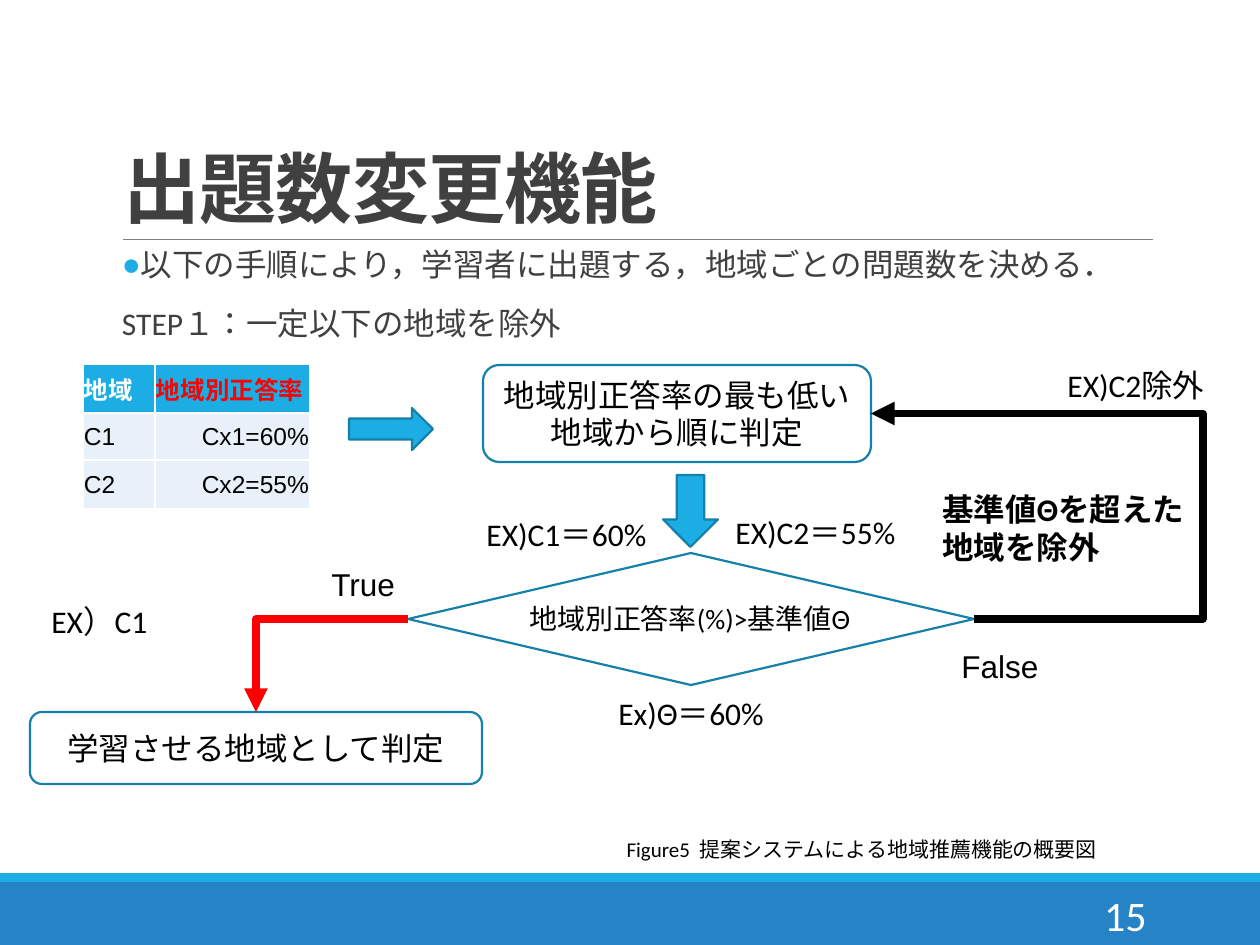
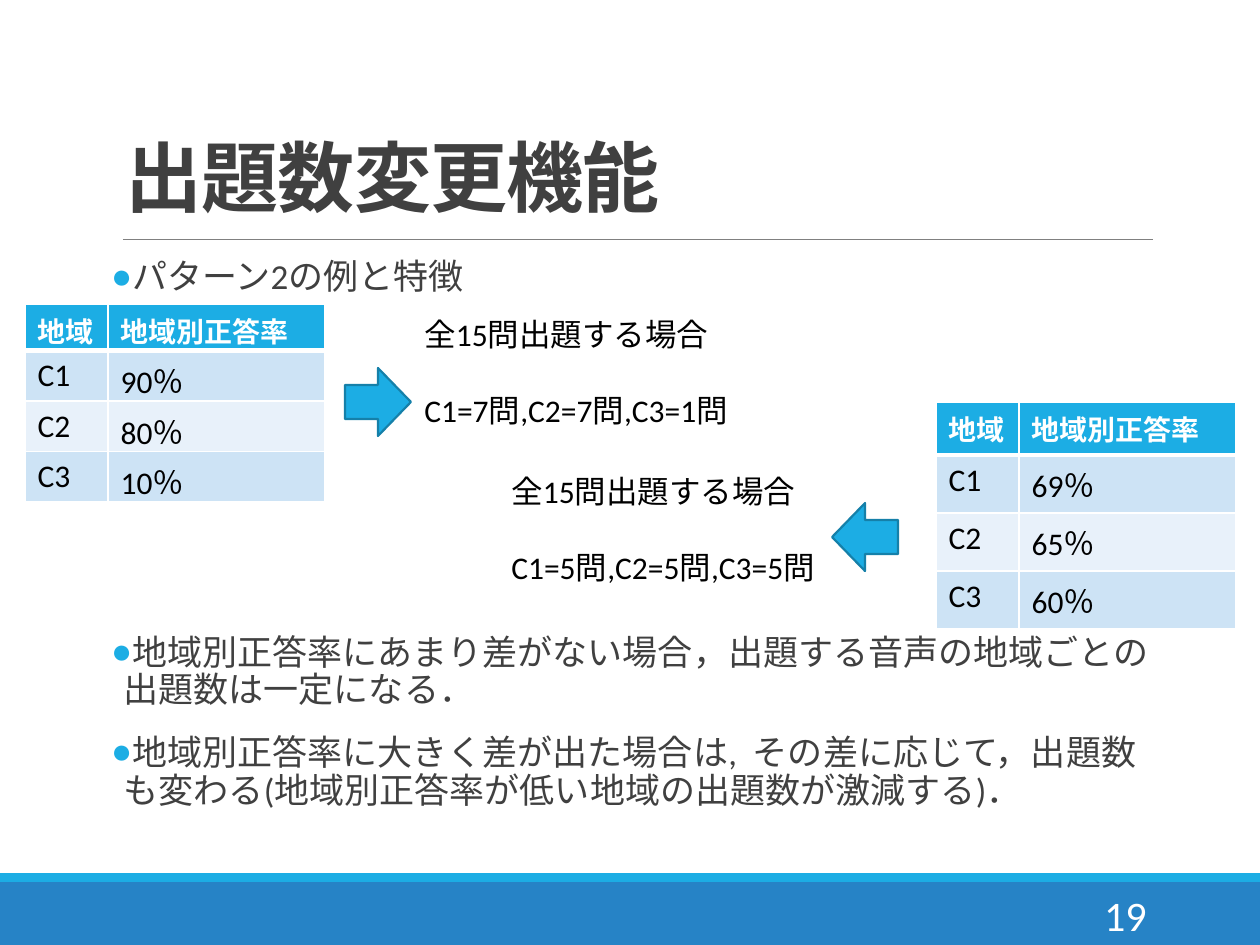
from dataclasses import dataclass

from lxml.etree import SubElement
from pptx import Presentation
from pptx.dml.color import RGBColor
from pptx.enum.lang import MSO_LANGUAGE_ID
from pptx.enum.shapes import MSO_CONNECTOR, MSO_SHAPE
from pptx.enum.text import MSO_ANCHOR, MSO_AUTO_SIZE, PP_ALIGN
from pptx.oxml.ns import qn
from pptx.util import Emu, Pt


@dataclass(frozen=True)
class Theme:
    font: str = "Calibri"
    plain_font: str = "Arial"
    accent: str = "1CADE4"
    outline: str = "1580A9"
    footer: str = "2683C6"
    rule: str = "808080"
    heading: str = "404040"
    black: str = "000000"
    white: str = "FFFFFF"
    red: str = "FF0000"
    pale: str = "E8F1FA"
    light: str = "CDE3F5"
    title_size: int = 44
    number_size: int = 24
    large_size: int = 20
    text_size: int = 18
    small_size: int = 16
    table_size: int = 14
    caption_size: int = 12


THEME = Theme()
PX_PER_INCH = 126
TITLE = "出題数変更機能"


def px(length):
    return Emu(round(length * 914400 / PX_PER_INCH))


def color(value):
    return RGBColor.from_string(value)


# Text
def write(frame, text, size=THEME.text_size, ink=THEME.black, font=THEME.font,
          bold=False, align=PP_ALIGN.LEFT, before=0, after=0, spacing=None,
          bullet=None, tracking=None):
    """Fill the first empty paragraph of a frame, or append one."""
    para = frame.add_paragraph() if frame.text else frame.paragraphs[0]
    if bullet is not None:
        set_bullet(para, bullet)
    para.alignment = align
    para.space_before, para.space_after = Pt(before), Pt(after)
    if spacing:
        para.line_spacing = spacing
    span = para.add_run()
    span.text = text
    span.font.name, span.font.size, span.font.bold = font, Pt(size), bold
    span.font.color.rgb = color(ink)
    span.font.language_id = MSO_LANGUAGE_ID.JAPANESE
    if tracking:
        span.font._element.set("spc", str(round(tracking * 100)))


def set_bullet(para, shown):
    properties = para._p.get_or_add_pPr()
    indent = 91440 if shown else 0
    properties.set("marL", str(indent))
    properties.set("indent", str(-indent))
    if shown:
        bullet_color = SubElement(properties, qn("a:buClr"))
        SubElement(bullet_color, qn("a:srgbClr"), val=THEME.accent)
        SubElement(properties, qn("a:buChar"), char="●")
    else:
        SubElement(properties, qn("a:buNone"))


def add_label(page, place, *lines, gap=0, anchor=MSO_ANCHOR.TOP, **style):
    frame = page.shapes.add_textbox(*map(px, place)).text_frame
    frame.word_wrap = True
    frame.vertical_anchor = anchor
    for index, line in enumerate(lines):
        write(frame, line, before=gap if index else 0, **style)


def place_placeholder(holder, place, anchor):
    holder.left, holder.top, holder.width, holder.height = map(px, place)
    frame = holder.text_frame
    frame.auto_size = MSO_AUTO_SIZE.NONE
    frame.word_wrap = True
    frame.vertical_anchor = anchor
    return frame


def add_body(page, place, items, size):
    """Items are (text, has bullet, space before)."""
    frame = place_placeholder(page.placeholders[1], place, MSO_ANCHOR.TOP)
    frame.margin_left = frame.margin_right = 0
    for text, bullet, before in items:
        write(frame, text, size=size, ink=THEME.heading, bullet=bullet,
              before=before, after=2, spacing=0.9)


# Shapes and lines
def add_figure(page, kind, place, fill=None, outline=THEME.outline, text=None):
    figure = page.shapes.add_shape(kind, *map(px, place))
    figure.shadow.inherit = False
    if fill:
        figure.fill.solid()
        figure.fill.fore_color.rgb = color(fill)
    else:
        figure.fill.background()
    if outline:
        figure.line.color.rgb = color(outline)
        figure.line.width = Pt(1.25)
    else:
        figure.line.fill.background()
    if text:
        figure.text_frame.word_wrap = True
        figure.text_frame.vertical_anchor = MSO_ANCHOR.MIDDLE
        write(figure.text_frame, text, align=PP_ALIGN.CENTER)
    return figure


def add_line(page, kind, ink, width, ends=(0, 0, 0, 0), arrow=False):
    line = page.shapes.add_connector(kind, *map(px, ends))
    line.line.color.rgb = color(ink)
    line.line.width = Pt(width)
    if arrow:
        SubElement(line.line._get_or_add_ln(), qn("a:tailEnd"), type="triangle")
    SubElement(line._element.spPr, qn("a:effectLst"))
    return line


def add_branch(page, source, source_side, target, target_side, ink, lane=None):
    """Elbow arrow: one corner, or two corners on a vertical lane."""
    branch = add_line(page, MSO_CONNECTOR.ELBOW, ink, 4.5, arrow=True)
    branch.begin_connect(source, source_side)
    branch.end_connect(target, target_side)
    geometry = branch._element.spPr.find(qn("a:prstGeom"))
    if lane is None:
        geometry.set("prst", "bentConnector2")
        return
    share = (px(lane) - branch.begin_x) / (branch.end_x - branch.begin_x)
    SubElement(geometry.find(qn("a:avLst")), qn("a:gd"), name="adj1",
               fmla=f"val {round(share * 100000)}")


# Tables
def set_borders(cell, top, bottom):
    properties = cell._tc.get_or_add_tcPr()
    for side, width in (("L", 1), ("R", 1), ("T", top), ("B", bottom)):
        border = SubElement(properties, qn(f"a:ln{side}"), w=str(Pt(width)))
        fill = SubElement(border, qn("a:solidFill"))
        SubElement(fill, qn("a:srgbClr"), val=THEME.white)


def add_rate_table(page, corner, widths, heights, rows, fills, header_styles,
                   body_styles, header_rule=1, insets=None, anchor=MSO_ANCHOR.TOP):
    """Header and body styles hold one text format per column."""
    size = (sum(widths), sum(heights))
    table = page.shapes.add_table(len(rows), len(widths),
                                  *map(px, corner + size)).table
    for column, width in zip(table.columns, widths):
        column.width = px(width)
    for r, values in enumerate(rows):
        table.rows[r].height = px(heights[r])
        for c, value in enumerate(values):
            cell = table.cell(r, c)
            set_borders(cell, header_rule if r == 1 else 1,
                        header_rule if r == 0 else 1)
            cell.fill.solid()
            cell.fill.fore_color.rgb = color(fills[r])
            cell.vertical_anchor = anchor
            if insets:
                (cell.margin_left, cell.margin_top,
                 cell.margin_right, cell.margin_bottom) = map(px, insets)
            style = (body_styles if r else header_styles)[c]
            write(cell.text_frame, value, **style)


def add_example_table(page, corner, heights, rates):
    rows = [("地域", "地域別正答率")]
    rows += [(f"C{n}", f"{rate}％") for n, rate in enumerate(rates, 1)]
    header = dict(size=THEME.small_size, ink=THEME.white, bold=True)
    add_rate_table(page, corner, (83, 217), heights, rows,
                   (THEME.accent, THEME.light, THEME.pale, THEME.light),
                   (header, header), ({}, {}), header_rule=3)


# Shared page frame
def add_page(deck, number, title_place):
    page = deck.slides.add_slide(deck.slide_layouts[1])
    add_figure(page, MSO_SHAPE.RECTANGLE, (0, 882, 1260, 63), THEME.footer, None)
    add_figure(page, MSO_SHAPE.RECTANGLE, (0, 873, 1260, 9), THEME.accent, None)
    add_line(page, MSO_CONNECTOR.STRAIGHT, THEME.rule, 0.5, (123, 239, 1153, 239))
    frame = place_placeholder(page.shapes.title, title_place, MSO_ANCHOR.BOTTOM)
    write(frame, TITLE, size=THEME.title_size, ink=THEME.heading, bold=True,
          spacing=0.85, tracking=-0.5)
    add_label(page, (1023, 890, 136, 50), number, size=THEME.number_size,
              ink=THEME.white, align=PP_ALIGN.RIGHT, anchor=MSO_ANCHOR.MIDDLE)
    return page


def build_flow_page(deck):
    page = add_page(deck, "15", (111, 93, 1129, 147))
    add_body(page, (122, 243, 1116, 160), [
        ("以下の手順により，学習者に出題する，地域ごとの問題数を決める．", True, 0),
        ("STEP１：一定以下の地域を除外", False, 12),
    ], THEME.text_size)

    # Rates by region
    cell_style = dict(size=THEME.table_size, font=THEME.plain_font)
    header = dict(cell_style, bold=True)
    add_rate_table(
        page, (83, 364), (72, 155), (49, 47, 49),
        [("地域", "地域別正答率"), ("C1", "Cx1=60%"), ("C2", "Cx2=55%")],
        (THEME.accent, THEME.pale, THEME.pale),
        (dict(header, ink=THEME.white), dict(header, ink=THEME.red)),
        (cell_style, dict(cell_style, align=PP_ALIGN.RIGHT)),
        insets=(1, 1, 1, 0), anchor=MSO_ANCHOR.MIDDLE)

    # Flow chart
    add_figure(page, MSO_SHAPE.RIGHT_ARROW, (349, 408, 84, 42), THEME.accent)
    start = add_figure(page, MSO_SHAPE.FLOWCHART_ALTERNATE_PROCESS,
                       (483, 365, 388, 97),
                       text="地域別正答率の最も低い地域から順に判定")
    add_figure(page, MSO_SHAPE.DOWN_ARROW, (663, 475, 55, 72), THEME.accent)
    decision = add_figure(page, MSO_SHAPE.FLOWCHART_DECISION, (408, 553, 566, 132))
    chosen = add_figure(page, MSO_SHAPE.FLOWCHART_ALTERNATE_PROCESS,
                        (30, 712, 452, 72), text="学習させる地域として判定")
    add_branch(page, decision, 3, start, 3, THEME.black, lane=1203)
    add_branch(page, decision, 1, chosen, 0, THEME.red)

    # Labels
    add_label(page, (517, 595, 391, 47), "地域別正答率(%)>基準値Θ",
              size=THEME.small_size)
    add_label(page, (949, 641, 106, 50), "False", font=THEME.plain_font)
    add_label(page, (319, 559, 96, 50), "True", font=THEME.plain_font)
    add_label(page, (930, 484, 278, 89), "基準値Θを超えた地域を除外", bold=True)
    for left, top, width, text in (
            (606, 688, 251, "Ex)Θ＝60%"), (474, 509, 207, "EX)C1＝60%"),
            (723, 507, 207, "EX)C2＝55%"), (39, 596, 189, "EX）C1"),
            (1055, 360, 205, "EX)C2除外")):
        add_label(page, (left, top, width, 50), text)
    add_label(page, (590, 830, 544, 38),
              "Figure5  提案システムによる地域推薦機能の概要図",
              size=THEME.caption_size, align=PP_ALIGN.CENTER)


def build_example_page(deck):
    page = add_page(deck, "19", (113, 29, 1040, 200))
    add_body(page, (111, 253, 1040, 600), [
        ("パターン2の例と特徴", True, 0),
        ("地域別正答率にあまり差がない場合，出題する音声の地域ごとの"
         "出題数は一定になる．", True, 191),
        ("地域別正答率に大きく差が出た場合は,  その差に応じて，出題数も変わる"
         "(地域別正答率が低い地域の出題数が激減する)．", True, 12),
    ], THEME.large_size)

    # Two examples: table, arrow, number of questions
    examples = (
        ((25, 304), (45, 51, 50, 50), (90, 80, 10), (345, 368), 0,
         (412, 309), "C1=7問,C2=7問,C3=1問"),
        ((936, 402), (53, 58, 58, 58), (69, 65, 60), (832, 503), 180,
         (499, 466), "C1=5問,C2=5問,C3=5問"),
    )
    for corner, heights, rates, arrow_at, turn, label_at, counts in examples:
        add_example_table(page, corner, heights, rates)
        arrow = add_figure(page, MSO_SHAPE.RIGHT_ARROW, arrow_at + (66, 68),
                           THEME.accent)
        arrow.rotation = turn
        add_label(page, label_at + (352, 127), "全15問出題する場合", counts, gap=22)


def main():
    deck = Presentation()
    deck.slide_width, deck.slide_height = px(1260), px(945)
    build_flow_page(deck)
    build_example_page(deck)
    deck.save("out.pptx")


if __name__ == "__main__":
    main()
